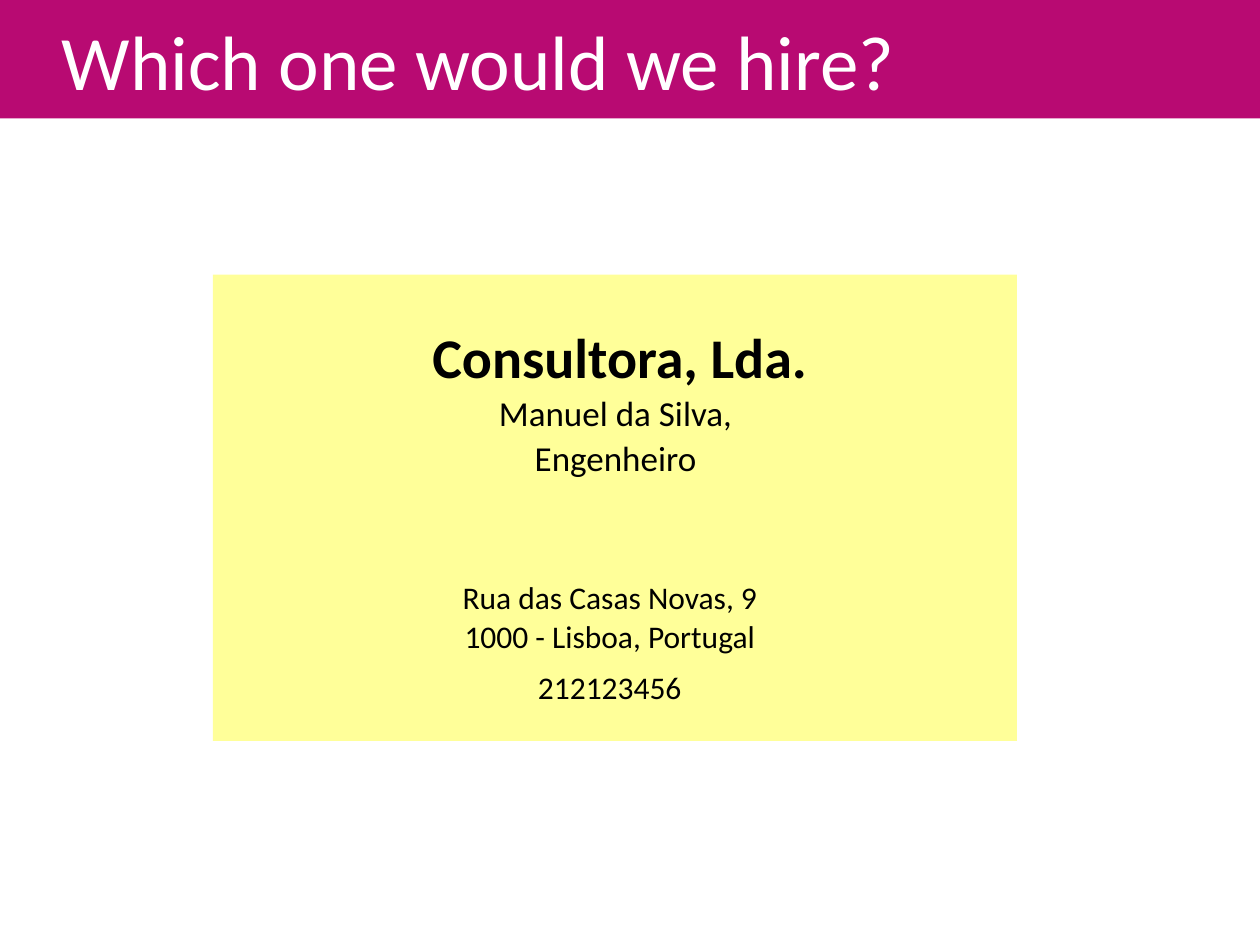
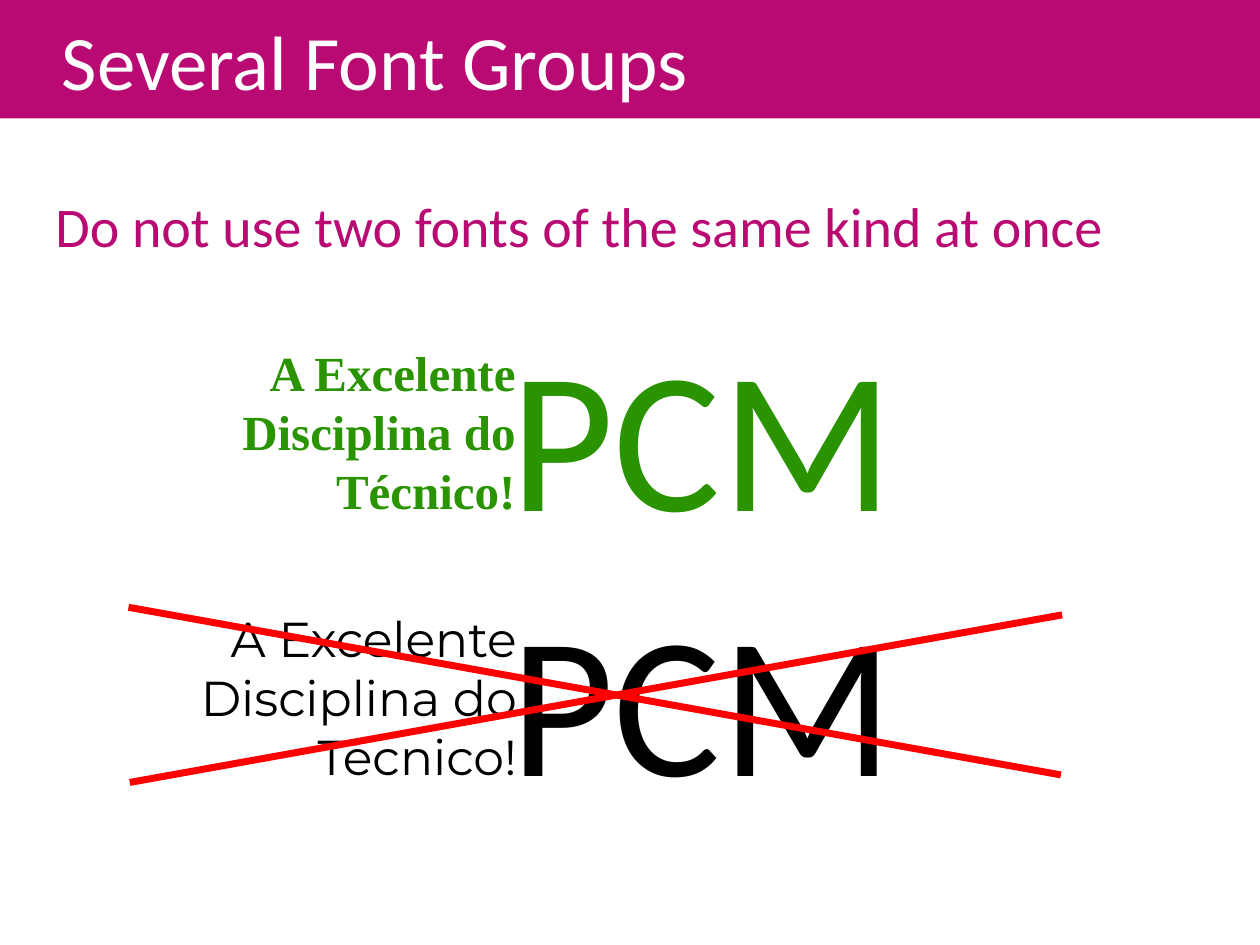
import pptx
import pptx.util
import pptx.dml.color
import pptx.enum.shapes
import pptx.enum.text
import pptx.oxml.ns
import lxml.etree

Inches = pptx.util.Inches
Pt = pptx.util.Pt
RGBColor = pptx.dml.color.RGBColor
Align = pptx.enum.text.PP_ALIGN
Anchor = pptx.enum.text.MSO_ANCHOR
Fit = pptx.enum.text.MSO_AUTO_SIZE
qn = pptx.oxml.ns.qn

PINK = RGBColor(0xB8, 0x0A, 0x72)
CREAM = RGBColor(0xFF, 0xFF, 0x99)
GREEN = RGBColor(0x2A, 0x93, 0x00)
RED = RGBColor(0xFF, 0x00, 0x00)
BLACK = RGBColor(0x00, 0x00, 0x00)
WHITE = RGBColor(0xFF, 0xFF, 0xFF)
SANS = "Calibri"


def place(shape, left, top, width, height):
    shape.left, shape.top = Inches(left), Inches(top)
    shape.width, shape.height = Inches(width), Inches(height)


def set_text(shape, text, size, color=BLACK, align=Align.LEFT, face=SANS, bold=False):
    frame = shape.text_frame
    frame.word_wrap = True
    frame.auto_size = Fit.NONE
    frame.text = text
    for para in frame.paragraphs:
        para.alignment = align
        para.space_before = Pt(0)
        for run in para.runs:
            font = run.font
            font.name, font.size, font.bold = face, Pt(size), bold
            font.color.rgb = color
    return frame


def add_text(slide, box, text, size, **style):
    shape = slide.shapes.add_textbox(*map(Inches, box))
    return set_text(shape, text, size, **style)


def indent(para, left):
    props = para._p.get_or_add_pPr()
    props.set("marL", str(Inches(left)))
    props.set("indent", "0")
    return props


def add_slide(deck, layout, title):
    slide = deck.slides.add_slide(deck.slide_layouts.get_by_name(layout))
    band = slide.shapes.title
    place(band, 0, 0, 10, 0.94)
    band.fill.solid()
    band.fill.fore_color.rgb = PINK
    frame = set_text(band, title, 44, WHITE)
    frame.vertical_anchor = Anchor.MIDDLE
    indent(frame.paragraphs[0], 0.39)
    return slide


def fill_body(slide, text):
    body = slide.placeholders[1]
    place(body, 0.34, 1.47, 9.42, 5.51)
    frame = set_text(body, text, 32, PINK)
    props = indent(frame.paragraphs[0], 0)
    lxml.etree.SubElement(props, qn("a:buNone"))


def add_card(slide):
    kind = pptx.enum.shapes.MSO_SHAPE.RECTANGLE
    card = slide.shapes.add_shape(kind, *map(Inches, (1.69, 2.18, 6.38, 3.7)))
    card.shadow.inherit = False
    card.fill.solid()
    card.fill.fore_color.rgb = CREAM
    card.line.fill.background()


def add_line(slide, ends):
    kind = pptx.enum.shapes.MSO_CONNECTOR.STRAIGHT
    line = slide.shapes.add_connector(kind, *map(Inches, ends))
    line.line.color.rgb = RED
    line.line.width = Pt(4)
    props = line._element.spPr
    lxml.etree.SubElement(props, qn("a:effectLst"))


def add_sample(slide, left, top, width, color, face, bold):
    add_text(slide, (left, top, width, 1.5), "A Excelente Disciplina do Técnico!", 28,
             color=color, align=Align.RIGHT, face=face, bold=bold)
    add_text(slide, (3.95, top - 0.26, 5.14, 2.02), "PCM", 115, color=color)


def make_hire(deck):
    slide = add_slide(deck, "Title Only", "Which one would we hire?")
    add_card(slide)
    name = add_text(slide, (3.19, 3.06, 3.39, 0.77), "Manuel da Silva,\nEngenheiro",
                    20, align=Align.CENTER)
    role = name.paragraphs[1]
    role.line_spacing = 0.5
    role.space_before = Pt(12)
    rows = ((4.54, "Rua das Casas Novas, 9"),
            (4.85, "1000 - Lisboa, Portugal"),
            (5.25, "212123456"))
    for top, text in rows:
        add_text(slide, (1.69, top, 6.3, 0.4), text, 18, align=Align.CENTER)
    add_text(slide, (2.95, 2.51, 3.94, 0.63), "Consultora, Lda.", 32,
             align=Align.CENTER, bold=True)


def make_fonts(deck):
    slide = add_slide(deck, "Title and Content", "Several Font Groups")
    fill_body(slide, "Do not use two fonts of the same kind at once")
    add_sample(slide, 1.42, 2.67, 2.77, GREEN, "Times New Roman", True)
    add_sample(slide, 1.05, 4.78, 3.15, BLACK, "Montserrat", False)
    add_line(slide, (1.02, 4.82, 8.42, 6.15))
    add_line(slide, (1.03, 6.21, 8.43, 4.88))


def main():
    deck = pptx.Presentation()
    deck.slide_width, deck.slide_height = Inches(10), Inches(7.5)
    make_hire(deck)
    make_fonts(deck)
    deck.save("out.pptx")


if __name__ == "__main__":
    main()
